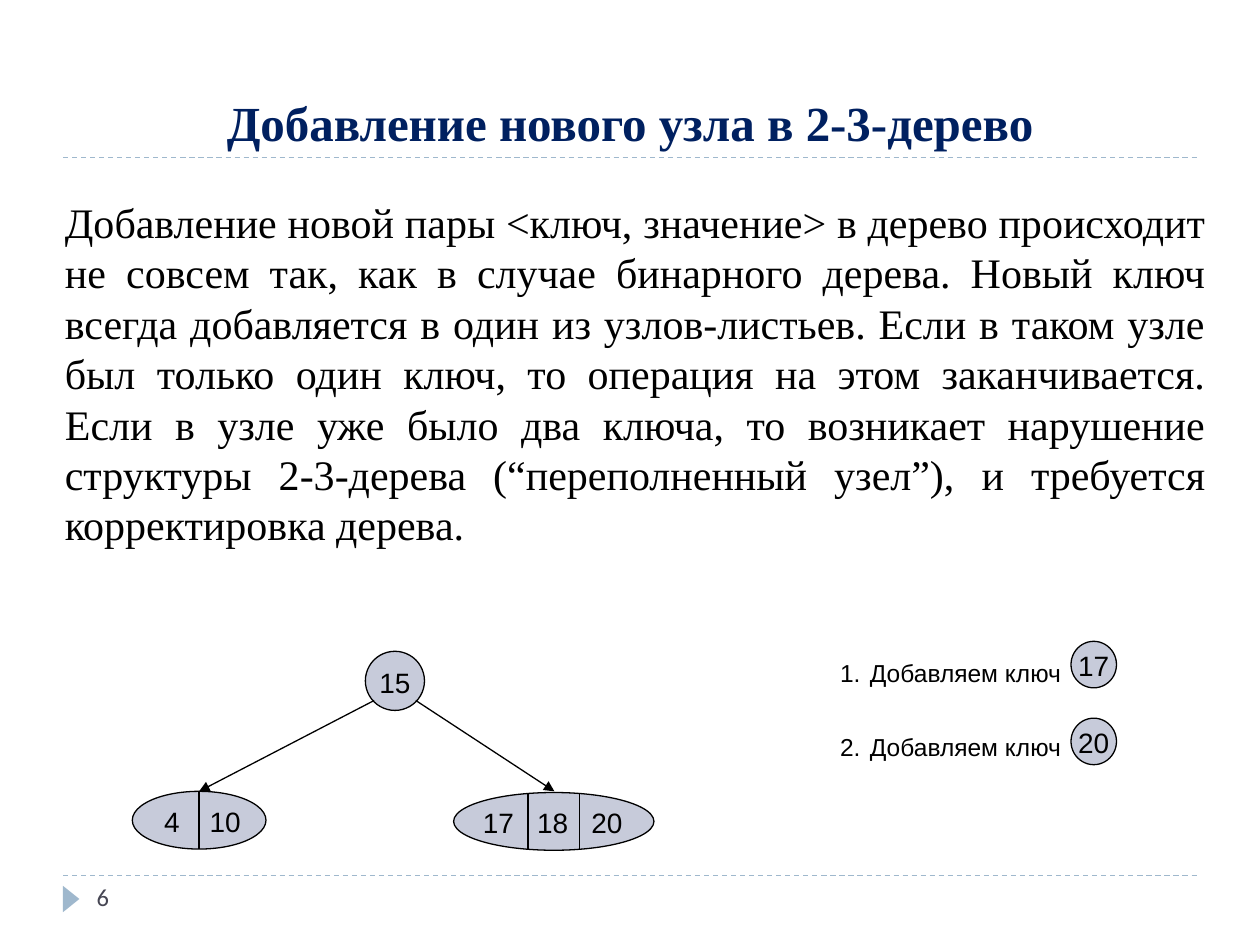
from dataclasses import dataclass

from lxml import etree
from pptx import Presentation
from pptx import util as u
from pptx.dml.color import RGBColor
from pptx.enum import dml, shapes, text
from pptx.oxml.ns import qn


@dataclass(frozen=True)
class Theme:
    ink: str = "000000"
    title: str = "002060"
    number: str = "464653"
    accent: str = "9FB8CD"
    node: str = "C7CBDA"
    serif: str = "Times New Roman"
    sans: str = "Arial"
    footer: str = "Calibri"
    title_size: int = 28
    body_size: int = 24
    key_size: int = 16
    step_size: int = 14
    line_width: float = 0.75


THEME = Theme()
TITLE = "Добавление нового узла в 2-3-дерево"
BODY = (
    "Добавление новой пары <ключ, значение> в дерево происходит не совсем так, "
    "как в случае бинарного дерева. Новый ключ всегда добавляется в один из "
    "узлов-листьев. Если в таком узле был только один ключ, то операция на этом "
    "заканчивается. Если в узле уже было два ключа, то возникает нарушение "
    "структуры 2-3-дерева (“переполненный узел”), и требуется корректировка дерева."
)


def box_of(*values):
    return [u.Pt(value) for value in values]


def apply(target, values):
    for name, value in values.items():
        setattr(target, name, value)


def add_xml(parent, tag, **attributes):
    return etree.SubElement(parent, qn(tag), attributes)


def write(shape, content, font, size, color, bold=False, insets=(0, 0, 0, 0),
          anchor=text.MSO_ANCHOR.MIDDLE, align=text.PP_ALIGN.LEFT, spacing=1.0, wrap=True):
    frame = shape.text_frame
    left, top, right, bottom = box_of(*insets)
    apply(frame, dict(word_wrap=wrap, vertical_anchor=anchor, margin_left=left,
                      margin_top=top, margin_right=right, margin_bottom=bottom))
    paragraph = frame.paragraphs[0]
    apply(paragraph, dict(alignment=align, line_spacing=spacing))
    run = paragraph.add_run()
    run.text = content
    apply(run.font, dict(name=font, size=u.Pt(size), bold=bold))
    run.font.color.rgb = RGBColor.from_string(color)
    return paragraph


def add_tabs(paragraph, stops):
    tabs = add_xml(paragraph._p.get_or_add_pPr(), "a:tabLst")
    for stop in stops:
        add_xml(tabs, "a:tab", pos=str(u.Pt(stop)), algn="l")


def add_text(slide, box, content, font, size, color, **values):
    return write(slide.shapes.add_textbox(*box_of(*box)), content, font, size, color, **values)


def add_line(slide, start, end, color=THEME.ink, dashed=False, arrow=False):
    line = slide.shapes.add_connector(shapes.MSO_CONNECTOR.STRAIGHT, *box_of(*start, *end))
    line.line.width = u.Pt(THEME.line_width)
    line.line.color.rgb = RGBColor.from_string(color)
    if dashed:
        line.line.dash_style = dml.MSO_LINE.DASH
    if arrow:
        add_xml(line.line._get_or_add_ln(), "a:tailEnd", type="triangle")
    add_xml(line._element.spPr, "a:effectLst")


def add_preset(slide, kind, box, fill):
    shape = slide.shapes.add_shape(kind, *box_of(*box))
    shape.shadow.inherit = False
    shape.fill.solid()
    shape.fill.fore_color.rgb = RGBColor.from_string(fill)
    return shape


def add_ellipse(slide, box):
    ellipse = add_preset(slide, shapes.MSO_SHAPE.OVAL, box, THEME.node)
    ellipse.line.width = u.Pt(THEME.line_width)
    ellipse.line.color.rgb = RGBColor.from_string(THEME.ink)
    return ellipse


def add_key(slide, box, key):
    write(add_ellipse(slide, box), key, THEME.sans, THEME.key_size, THEME.ink,
          insets=(0, 1.4, 0, 0), align=text.PP_ALIGN.CENTER, wrap=False)


def add_leaf(slide, box, keys, indent, step, dividers):
    """A node whose keys stand at equal tab stops between vertical dividers."""
    left, top, _, height = box
    paragraph = write(add_ellipse(slide, box), "\t".join(keys), THEME.sans,
                      THEME.key_size, THEME.ink, insets=(indent, 1.4, 0, 0))
    add_tabs(paragraph, [step * place for place in range(1, len(keys))])
    for offset in dividers:
        add_line(slide, (left + offset, top), (left + offset, top + height))


def add_step(slide, number, top, key, key_top):
    paragraph = add_text(slide, (456, top, 202, 25), "Добавляем ключ\t.", THEME.sans,
                         THEME.step_size, THEME.ink, insets=(7.2, 4.3, 7.2, 3.6))
    properties = paragraph._p.get_or_add_pPr()
    properties.set("marL", str(u.Pt(34)))
    properties.set("indent", str(u.Pt(-17)))
    add_xml(properties, "a:buFont", typeface=THEME.sans)
    add_xml(properties, "a:buAutoNum", type="arabicPeriod", startAt=str(number))
    add_tabs(paragraph, [182])
    add_key(slide, (612, key_top, 26, 26.6), key)


def add_frame(slide):
    for y in (90, 500.4):
        add_line(slide, (36, y), (684, y), THEME.accent, dashed=True)
    marker = add_preset(slide, shapes.MSO_SHAPE.ISOSCELES_TRIANGLE,
                        (33.1, 509, 15.1, 9.4), THEME.accent)
    marker.rotation = 90
    marker.line.fill.background()
    add_text(slide, (48.2, 500.4, 156, 28.8), "6", THEME.footer, THEME.step_size,
             THEME.number, insets=(7.2, 3.6, 7.2, 3.6), anchor=text.MSO_ANCHOR.TOP)


def main():
    presentation = Presentation()
    apply(presentation, dict(slide_width=u.Pt(720), slide_height=u.Pt(540)))
    slide = presentation.slides.add_slide(presentation.slide_layouts[6])

    # Rules, page marker, title and explanation
    add_frame(slide)
    add_text(slide, (36, 18, 648, 72), TITLE, THEME.serif, THEME.title_size, THEME.title,
             bold=True, insets=(7.2, 3.6, 7.2, 3.6), anchor=text.MSO_ANCHOR.BOTTOM,
             align=text.PP_ALIGN.CENTER)
    add_text(slide, (30, 108, 666, 212), BODY, THEME.serif, THEME.body_size, THEME.ink,
             insets=(7.2, 4.3, 7.2, 3.6), anchor=text.MSO_ANCHOR.TOP,
             align=text.PP_ALIGN.JUSTIFY)

    # Tree
    add_key(slide, (208.8, 372.2, 33.8, 33.8), "15")
    add_leaf(slide, (75.6, 452.2, 76.4, 33), ["4", "10"], 7, 26, [38.2])
    add_leaf(slide, (259.2, 452.9, 114.5, 33), ["17", "18", "20"], 0, 31, [42.5, 72])
    add_line(slide, (213.8, 400.3), (113.8, 452.2), arrow=True)
    add_line(slide, (237.6, 400.3), (316.8, 452.2), arrow=True)

    # Steps
    add_step(slide, 1, 371.5, "17", 366.5)
    add_step(slide, 2, 414, "20", 410.4)

    presentation.save("out.pptx")


if __name__ == "__main__":
    main()
